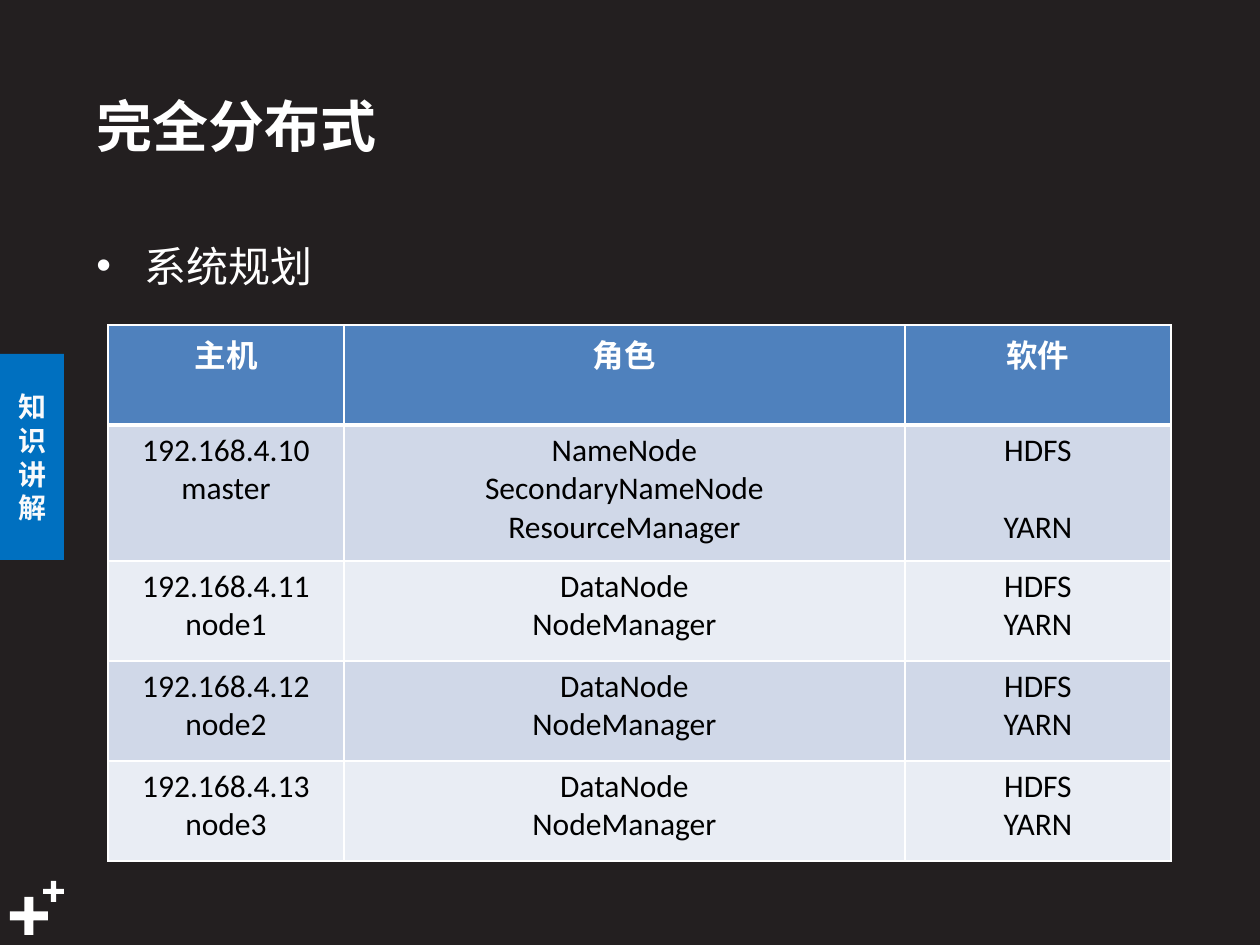
from lxml.etree import SubElement
from pptx import Presentation
from pptx.dml.color import RGBColor
from pptx.enum.shapes import MSO_SHAPE
from pptx.enum.text import MSO_ANCHOR, PP_ALIGN
from pptx.oxml.ns import qn
from pptx.util import Emu, Pt

PX = 914400 // 126
THEME = {
    "background": "231F20", "white": "FFFFFF", "tab": "0070C0", "tab_text": "F9FAFB",
    "header": "4F81BD", "bands": ("D0D8E8", "E9EDF4"), "black": "000000",
    "chinese": "Noto Sans CJK SC", "latin": "Calibri",
    "title": 32, "body": 24, "table": 18, "tab_size": 16,
}


def px(*lengths):
    return [Emu(length * PX) for length in lengths]


def format_text(paragraph, font_name, size, color, bold=False):
    for run in paragraph.runs:
        run.font.name = font_name
        run.font.size = Pt(size)
        run.font.bold = bold
        run.font.color.rgb = RGBColor.from_string(color)
        east_asian = SubElement(run._r.get_or_add_rPr(), qn("a:ea"))
        east_asian.set("typeface", THEME["chinese"])


presentation = Presentation()
presentation.slide_width, presentation.slide_height = px(1260, 945)
slide = presentation.slides.add_slide(presentation.slide_layouts[6])
slide.background.fill.solid()
slide.background.fill.fore_color.rgb = RGBColor.from_string(THEME["background"])

for kind, box, color in (
    (MSO_SHAPE.CROSS, (10, 897, 38, 38), THEME["white"]),
    (MSO_SHAPE.CROSS, (43, 881, 21, 21), THEME["white"]),
    (MSO_SHAPE.RECTANGLE, (0, 354, 64, 206), THEME["tab"]),
):
    shape = slide.shapes.add_shape(kind, *px(*box))
    shape.shadow.inherit = False
    shape.fill.solid()
    shape.fill.fore_color.rgb = RGBColor.from_string(color)
    shape.line.fill.background()
    if kind == MSO_SHAPE.CROSS:
        shape.adjustments[0] = 0.38
    else:
        shape.text_frame.text = "知识讲解"
        shape.text_frame.word_wrap = True
        shape.text_frame.vertical_anchor = MSO_ANCHOR.MIDDLE
        paragraph = shape.text_frame.paragraphs[0]
        paragraph.alignment = PP_ALIGN.CENTER
        paragraph.line_spacing = Pt(19.25)
        format_text(paragraph, THEME["chinese"], THEME["tab_size"], THEME["tab_text"], True)

title = slide.shapes.add_textbox(*px(84, 76, 932, 98))
title.text_frame.text = "完全分布式"
title.text_frame.word_wrap = True
title.text_frame.vertical_anchor = MSO_ANCHOR.MIDDLE
format_text(title.text_frame.paragraphs[0], THEME["chinese"], THEME["title"], THEME["white"], True)

body = slide.shapes.add_textbox(*px(84, 224, 1048, 68))
body.text_frame.text = "系统规划"
body.text_frame.word_wrap = True
paragraph = body.text_frame.paragraphs[0]
paragraph.line_spacing = 1.2
paragraph.space_before = Pt(5)
format_text(paragraph, THEME["chinese"], THEME["body"], THEME["white"])
properties = paragraph._p.get_or_add_pPr()
properties.set("marL", str(48 * PX))
properties.set("indent", str(-48 * PX))
SubElement(properties, qn("a:buFont")).set("typeface", "Arial")
SubElement(properties, qn("a:buChar")).set("char", "•")

worker_roles, worker_software = "DataNode\nNodeManager", "HDFS\nYARN"
rows = [
    ("主机", "角色", "软件"),
    ("192.168.4.10\nmaster", "NameNode\nSecondaryNameNode\nResourceManager", "HDFS\nYARN"),
]
for number in range(1, 4):
    rows.append((f"192.168.4.{10 + number}\nnode{number}", worker_roles, worker_software))

column_widths, row_heights = (236, 561, 266), (100, 136, 100, 100, 100)
table = slide.shapes.add_table(
    len(rows), 3, *px(108, 325, sum(column_widths), sum(row_heights))
).table
for column, width in zip(table.columns, px(*column_widths)):
    column.width = width
for row, height in zip(table.rows, px(*row_heights)):
    row.height = height

for row_index, texts in enumerate(rows):
    is_header = row_index == 0
    fill_color = THEME["header"] if is_header else THEME["bands"][(row_index - 1) % 2]
    text_color = THEME["white"] if is_header else THEME["black"]
    for column_index, text in enumerate(texts):
        cell = table.cell(row_index, column_index)
        cell.text_frame.text = text
        for paragraph in cell.text_frame.paragraphs:
            paragraph.alignment = PP_ALIGN.CENTER
            format_text(paragraph, THEME["latin"], THEME["table"], text_color, is_header)
        cell_properties = cell._tc.get_or_add_tcPr()
        for side in ("lnL", "lnR", "lnT", "lnB"):
            thick = (row_index, side) in ((0, "lnB"), (1, "lnT"))
            border = SubElement(cell_properties, qn(f"a:{side}"), w=str(Pt(3 if thick else 1)))
            border_fill = SubElement(border, qn("a:solidFill"))
            SubElement(border_fill, qn("a:srgbClr"), val=THEME["white"])
        cell.fill.solid()
        cell.fill.fore_color.rgb = RGBColor.from_string(fill_color)

table.cell(1, 2).text_frame.paragraphs[1].space_before = Pt(22)

presentation.save("out.pptx")
